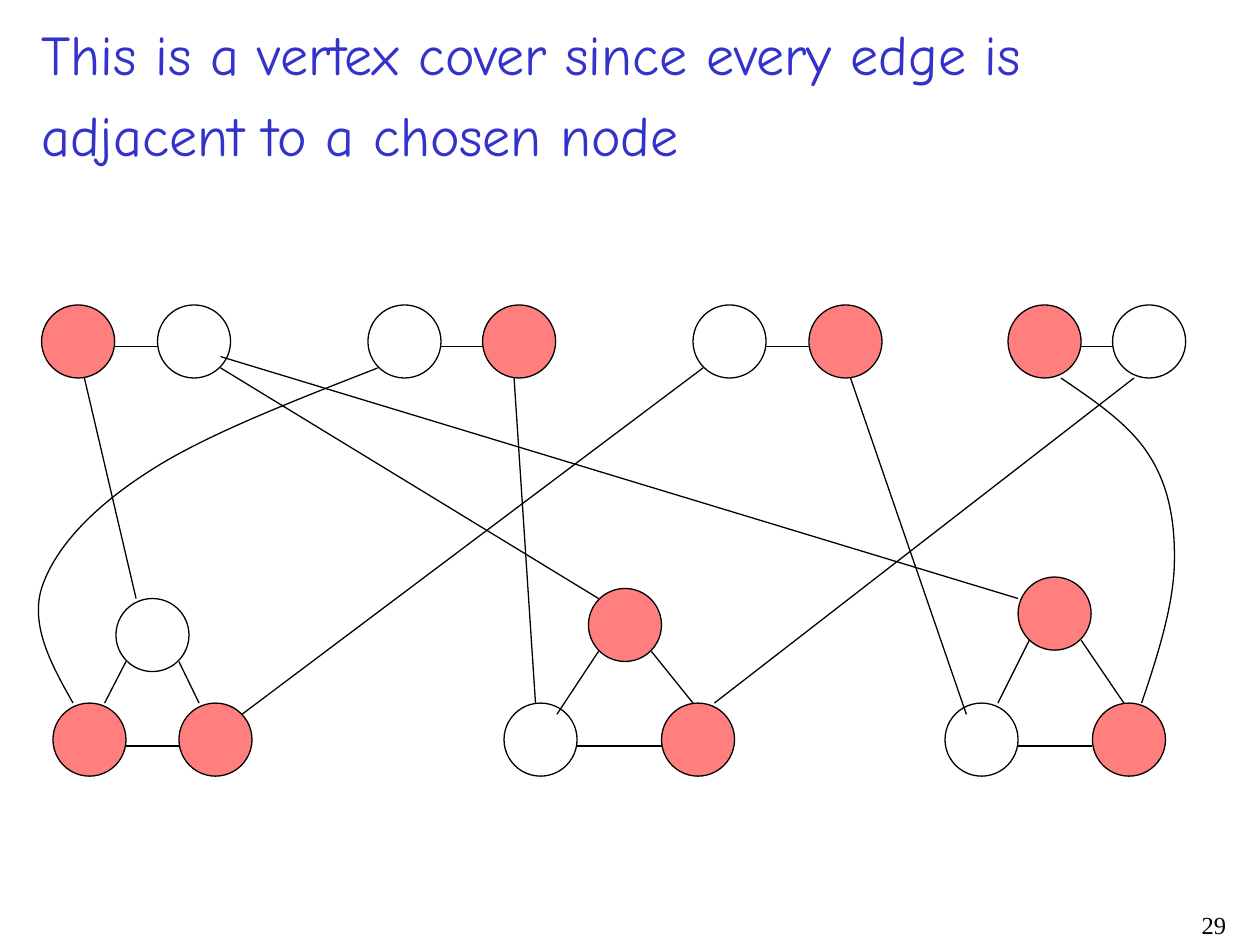
from lxml import etree
from pptx import Presentation
from pptx.dml.color import RGBColor
from pptx.enum import shapes, text
from pptx.oxml import ns
from pptx.util import Inches, Pt

COLORS = {"title": "3333CC", "ink": "000000", "chosen": "FF0000"}
DIAMETER = 0.58
NODE_TOP = 2.42
NODE_LINK = 2.75
BASE_TOP = 5.58
BASE_LINK = 5.92

VARIABLE_PAIRS = [
    ((0.33, True), (1.25, False)),
    ((2.92, False), (3.83, True)),
    ((5.5, False), (6.42, True)),
    ((8, True), (8.83, False)),
]
CLAUSE_TRIANGLES = [
    ((0.92, 4.75, False), (0.42, True), (1.42, True)),
    ((4.67, 4.67, True), (4, False), (5.25, True)),
    ((8.08, 4.58, True), (7.5, False), (8.67, True)),
]
TRIANGLE_SIDES = [
    ((1, 5.25), (0.83, 5.58)),
    ((1.42, 5.25), (1.58, 5.58)),
    ((4.75, 5.17), (4.42, 5.67)),
    ((5.17, 5.17), (5.5, 5.58)),
    ((8.17, 5.08), (7.92, 5.58)),
    ((8.58, 5.08), (8.92, 5.58)),
]
CROSS_EDGES = [
    ((0.67, 3), (1.08, 4.75)),
    ((1.92, 5.67), (5.58, 2.92)),
    ((1.75, 2.92), (4.75, 4.75)),
    ((4.08, 3), (4.25, 5.58)),
    ((5.67, 5.58), (9, 3)),
    ((1.75, 2.83), (8.08, 4.75)),
    ((6.75, 3), (7.67, 5.67)),
]
CURVED_EDGES = [
    [(0.58, 5.58), (0.41, 5.28), (0.24, 4.97), (0.33, 4.67), (0.43, 4.36),
     (0.72, 4.04), (1.17, 3.75), (1.61, 3.46), (2.31, 3.19), (3, 2.92)],
    [(9.06, 5.58), (9.19, 5.2), (9.31, 4.81), (9.32, 4.49), (9.33, 4.16),
     (9.28, 3.87), (9.13, 3.63), (8.98, 3.38), (8.7, 3.19), (8.42, 3)],
]


class GraphPage:
    def __init__(self, page):
        self.page = page

    def color(self, name):
        return RGBColor.from_string(COLORS[name])

    def outline(self, item):
        item.line.color.rgb = self.color("ink")
        item.line.width = Pt(0.75)

    def node(self, left, top, chosen):
        circle = self.page.shapes.add_shape(
            shapes.MSO_SHAPE.OVAL, Inches(left), Inches(top),
            Inches(DIAMETER), Inches(DIAMETER))
        circle.shadow.inherit = False
        self.outline(circle)
        if chosen:
            circle.fill.solid()
            circle.fill.fore_color.rgb = self.color("chosen")
            tint = circle._element.spPr.find(
                ns.qn("a:solidFill") + "/" + ns.qn("a:srgbClr"))
            etree.SubElement(tint, ns.qn("a:alpha"), val="50000")
        else:
            circle.fill.background()

    def edge(self, start, end):
        line = self.page.shapes.add_connector(
            shapes.MSO_CONNECTOR.STRAIGHT,
            *[Inches(value) for value in (*start, *end)])
        self.outline(line)
        etree.SubElement(line._element.spPr, ns.qn("a:effectLst"))

    def curve(self, points):
        start, *rest = [(Inches(x), Inches(y)) for x, y in points]
        builder = self.page.shapes.build_freeform(*start)
        builder.add_line_segments(rest, close=False)
        shape = builder.convert_to_shape()
        shape.shadow.inherit = False
        shape.fill.background()
        self.outline(shape)
        segments = shape._element.xpath(".//a:lnTo")
        outline = segments[0].getparent()
        for index in range(0, len(segments), 3):
            bezier = etree.SubElement(outline, ns.qn("a:cubicBezTo"))
            for segment in segments[index:index + 3]:
                bezier.append(segment[0])
                outline.remove(segment)

    def label(self, place, lines, font, size, color,
              align=text.PP_ALIGN.LEFT, gap=0):
        box = self.page.shapes.add_textbox(*[Inches(value) for value in place])
        frame = box.text_frame
        frame.word_wrap = True
        for index, words in enumerate(lines):
            para = frame.add_paragraph() if index else frame.paragraphs[0]
            para.alignment = align
            if index:
                para.space_before = Pt(gap)
            span = para.add_run()
            span.text = words
            span.font.name = font
            span.font.size = Pt(size)
            span.font.color.rgb = self.color(color)


def main():
    deck = Presentation()
    deck.slide_width, deck.slide_height = Inches(10), Inches(7.5)
    graph = GraphPage(deck.slides.add_slide(deck.slide_layouts[6]))

    graph.label((7.75, 7.17, 2.08, 0.33), ["29"], "Times New Roman", 14,
                "ink", align=text.PP_ALIGN.RIGHT)
    for pair in VARIABLE_PAIRS:
        for left, chosen in pair:
            graph.node(left, NODE_TOP, chosen)
        (first, _), (second, _) = pair
        graph.edge((first + DIAMETER, NODE_LINK), (second, NODE_LINK))
    for apex, *base in CLAUSE_TRIANGLES:
        graph.node(*apex)
        for left, chosen in base:
            graph.node(left, BASE_TOP, chosen)
        (first, _), (second, _) = base
        graph.edge((first + DIAMETER, BASE_LINK), (second, BASE_LINK))
    for start, end in TRIANGLE_SIDES + CROSS_EDGES:
        graph.edge(start, end)
    for points in CURVED_EDGES:
        graph.curve(points)
    graph.label((0.23, 0.11, 8.79, 1.27),
                ["This is a vertex cover since every edge is",
                 "adjacent to a chosen node"],
                "Comic Neue", 32, "title", gap=7.4)
    deck.save("out.pptx")


if __name__ == "__main__":
    main()
